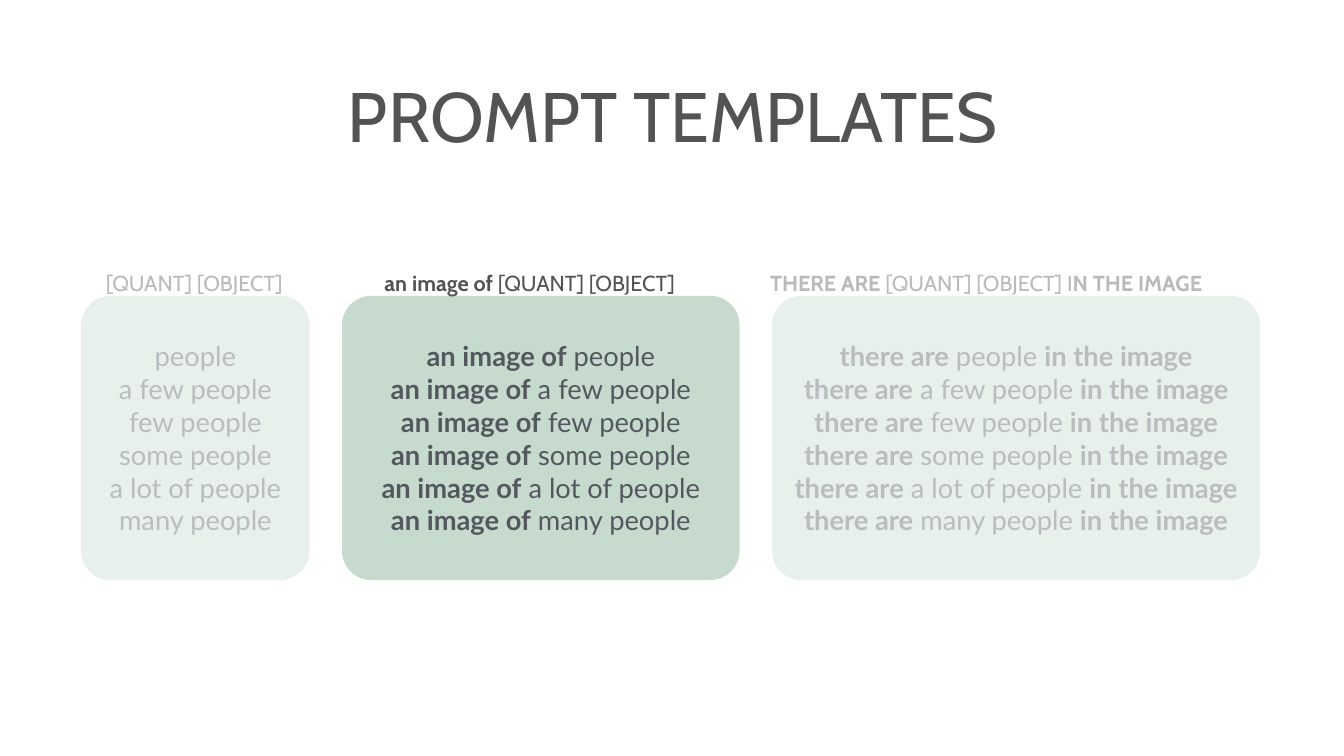
from lxml.etree import SubElement as Sub
from pptx import Presentation
from pptx.dml.color import RGBColor
from pptx.enum.shapes import MSO_SHAPE as Shape
from pptx.enum.text import MSO_ANCHOR as Anchor, MSO_AUTO_SIZE as Fit, PP_ALIGN as Align
from pptx.oxml.ns import qn
from pptx.util import Inches, Pt

WHITE = RGBColor(0xFF, 0xFF, 0xFF)
GREEN = RGBColor(0xC6, 0xDB, 0xCE)
GREY = RGBColor(0x53, 0x53, 0x53)
SLATE = RGBColor(0x53, 0x58, 0x5F)

QUANTS = ["", "a few ", "few ", "some ", "a lot of ", "many "]
LEFT, GAP = 6.04, 2.42
TOP, HIGH = 39.13, 37.6

# card width, corner, sentence, label left, label width, label text
CARDS = [
    (16.99, 0.129, "{}", 7.65, 13.84, "[QUANT] [OBJECT]"),
    (29.58, 0.103, "*an image of* {}", 28.38, 23.73,
     "*an image of* [QUANT] [OBJECT]"),
    (36.3, 0.103, "*there are* {} *in the image*", 57.07, 37.05,
     "*THERE ARE* [QUANT] [OBJECT] I*N THE IMAGE*"),
]
# left, top, width, corner of the sheets that fade the outer cards
VEILS = [(55.68, 33.73, 39.86, 0.15), (4.5, 34.67, 18.9, 0.2)]


def write(frame, text, size, font, color, align=Align.CENTER, gap=None, wrap=True):
    """Fill a frame, one paragraph a line; *stars* mark bold."""
    frame.word_wrap = wrap
    frame.vertical_anchor = Anchor.MIDDLE
    frame.margin_left = frame.margin_right = Inches(0.06)
    frame.margin_top = frame.margin_bottom = Inches(0.06)
    for i, line in enumerate(text.split("\n")):
        para = frame.add_paragraph() if i else frame.paragraphs[0]
        para.alignment = align
        if gap:
            para.line_spacing = gap
        for j, part in enumerate(line.split("*")):
            if part:
                run = para.add_run()
                run.text = part
                run.font.size, run.font.name = Pt(size), font
                run.font.bold = j % 2 == 1
                run.font.color.rgb = color


class Deck:
    """Holds the style and the slide; lengths are percent of the slide."""
    head, body = "Cabin", "Lato"

    def __init__(self):
        self.prs = Presentation()
        self.prs.slide_width, self.prs.slide_height = Inches(26.67), Inches(15)
        self.slide = self.prs.slides.add_slide(self.prs.slide_layouts[5])

    def box(self, x, y, w, h):
        wide, high = self.prs.slide_width, self.prs.slide_height
        return [int(v * full / 100) for v, full in
                ((x, wide), (y, high), (w, wide), (h, high))]

    def title(self, text, *area):
        item = self.slide.shapes.title
        item.left, item.top, item.width, item.height = self.box(*area)
        write(item.text_frame, text, 100, self.head, GREY)
        item.text_frame.auto_size = Fit.NONE

    def panel(self, *area, corner, fill):
        item = self.slide.shapes.add_shape(Shape.ROUNDED_RECTANGLE, *self.box(*area))
        item.adjustments[0] = corner
        item.shadow.inherit = False
        item.line.fill.background()
        item.fill.solid()
        item.fill.fore_color.rgb = fill
        return item

    def card(self, text, *area, corner):
        item = self.panel(*area, corner=corner, fill=GREEN)
        write(item.text_frame, text, 39, self.body, SLATE)

    def label(self, text, *area):
        item = self.slide.shapes.add_textbox(*self.box(*area))
        write(item.text_frame, text, 31, self.head, GREY,
              align=Align.LEFT, gap=1.2, wrap=False)
        item.text_frame.auto_size = Fit.SHAPE_TO_FIT_TEXT

    def veil(self, *area, corner):
        item = self.panel(*area, corner=corner, fill=WHITE)
        tint = item.fill._xPr.find(qn("a:solidFill"))[0]
        Sub(tint, qn("a:alpha"), val="60000")


def main():
    deck = Deck()
    deck.title("PROMPT TEMPLATES", 2.77, 2.6, 94.53, 25)
    left = LEFT
    for wide, corner, form, x, w, name in CARDS:
        text = "\n".join(form.format(q + "people") for q in QUANTS)
        deck.card(text, left, TOP, wide, HIGH, corner=corner)
        deck.label(name, x, 35, w, 4.07)
        left += wide + GAP
    for x, y, w, corner in VEILS:
        deck.veil(x, y, w, 44.87, corner=corner)
    deck.prs.save("out.pptx")


if __name__ == "__main__":
    main()
